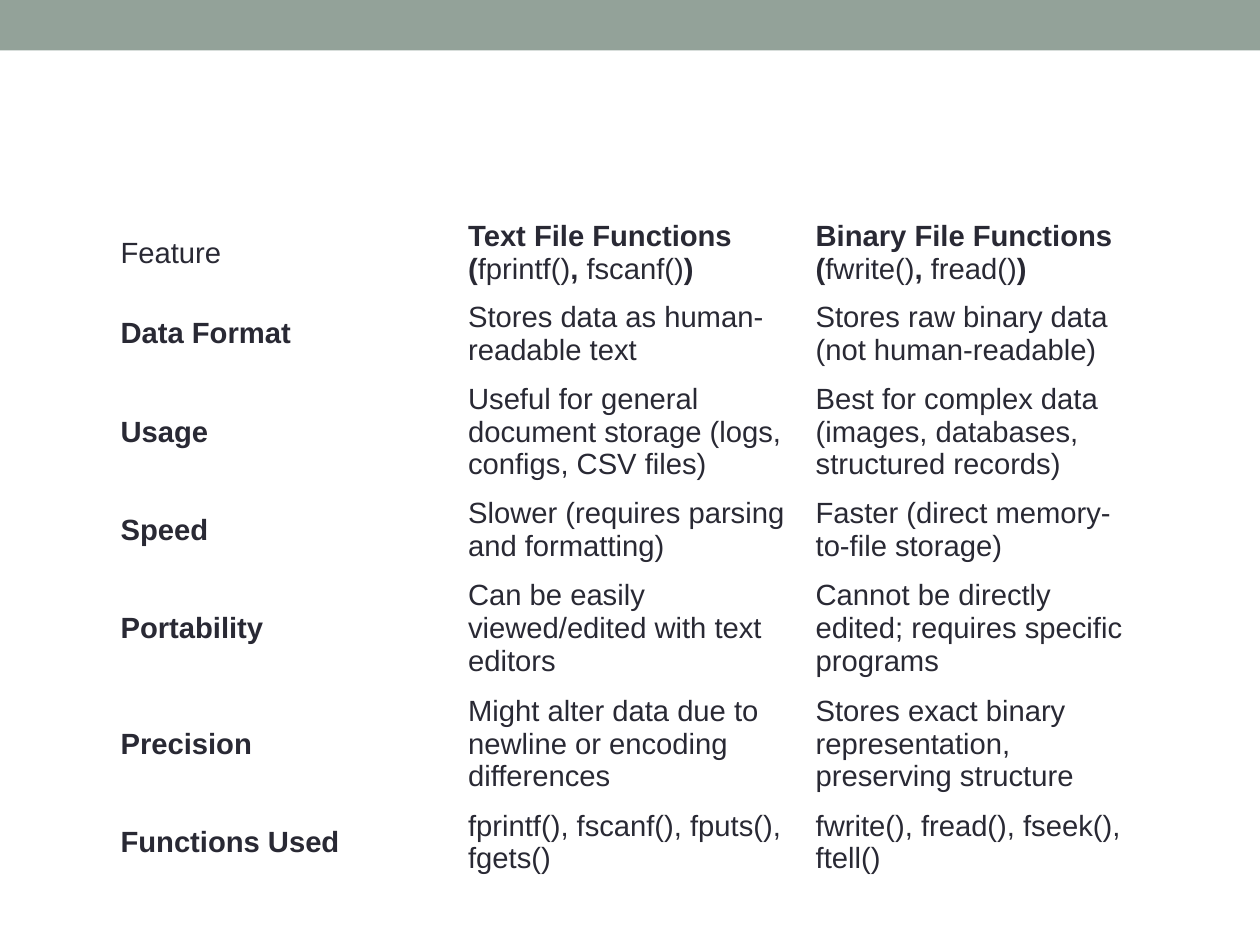
import dataclasses

import pptx
import pptx.dml.color
import pptx.enum.shapes
import pptx.enum.text
import pptx.util

Pt = pptx.util.Pt


@dataclasses.dataclass(frozen=True)
class Theme:
    band: str = "93A299"
    ink: str = "292934"
    font: str = "Arial"
    body_size: float = 16.7


class SlideBuilder:
    def __init__(self, slide, theme):
        self.slide = slide
        self.theme = theme

    def color(self, value):
        return pptx.dml.color.RGBColor.from_string(value)

    def band(self, left, top, width, height):
        band = self.slide.shapes.add_shape(
            pptx.enum.shapes.MSO_SHAPE.RECTANGLE,
            Pt(left), Pt(top), Pt(width), Pt(height))
        band.shadow.inherit = False
        band.fill.solid()
        band.fill.fore_color.rgb = self.color(self.theme.band)
        band.line.fill.background()

    def write_cell(self, cell, text):
        """Write text in which ** switches bold on and off."""
        cell.fill.background()
        cell.vertical_anchor = pptx.enum.text.MSO_ANCHOR.MIDDLE
        paragraph = cell.text_frame.paragraphs[0]
        paragraph.font.name = self.theme.font
        paragraph.font.size = Pt(self.theme.body_size)
        paragraph.font.color.rgb = self.color(self.theme.ink)
        for index, part in enumerate(text.split("**")):
            if part:
                run = paragraph.add_run()
                run.text = part
                run.font.bold = index % 2 == 1

    def table(self, left, top, column_width, row_heights, rows):
        columns = len(rows[0])
        table = self.slide.shapes.add_table(
            len(rows), columns, Pt(left), Pt(top),
            Pt(column_width * columns), Pt(sum(row_heights))).table
        table.first_row = False
        table.horz_banding = False
        for column in table.columns:
            column.width = Pt(column_width)
        for r, (height, texts) in enumerate(zip(row_heights, rows)):
            table.rows[r].height = Pt(height)
            for c, text in enumerate(texts):
                self.write_cell(table.cell(r, c), text)


# Row heights by number of text lines
LINE_HEIGHTS = {2: 46.1, 3: 66.2}

# Each feature: lines of text, name, text files, binary files
COMPARISON = [
    (2, "Feature", "**Text File Functions (**fprintf()**, **fscanf()**)**",
     "**Binary File Functions (**fwrite()**, **fread()**)**"),
    (2, "**Data Format**", "Stores data as human-readable text",
     "Stores raw binary data (not human-readable)"),
    (3, "**Usage**",
     "Useful for general document storage (logs, configs, CSV files)",
     "Best for complex data (images, databases, structured records)"),
    (2, "**Speed**", "Slower (requires parsing and formatting)",
     "Faster (direct memory-to-file storage)"),
    (3, "**Portability**", "Can be easily viewed/edited with text editors",
     "Cannot be directly edited; requires specific programs"),
    (3, "**Precision**",
     "Might alter data due to newline or encoding differences",
     "Stores exact binary representation, preserving structure"),
    (2, "**Functions Used**", "fprintf(), fscanf(), fputs(), fgets()",
     "fwrite(), fread(), fseek(), ftell()"),
]


def main():
    deck = pptx.Presentation()
    deck.slide_width, deck.slide_height = Pt(720), Pt(540)
    builder = SlideBuilder(deck.slides.add_slide(deck.slide_layouts[6]), Theme())

    # Top band
    builder.band(0, 0, 720, 28.8)

    # Comparison of text and binary file functions
    builder.table(61.7, 121.5, 198.6,
                  [LINE_HEIGHTS[row[0]] for row in COMPARISON],
                  [row[1:] for row in COMPARISON])

    deck.save("out.pptx")


if __name__ == "__main__":
    main()
